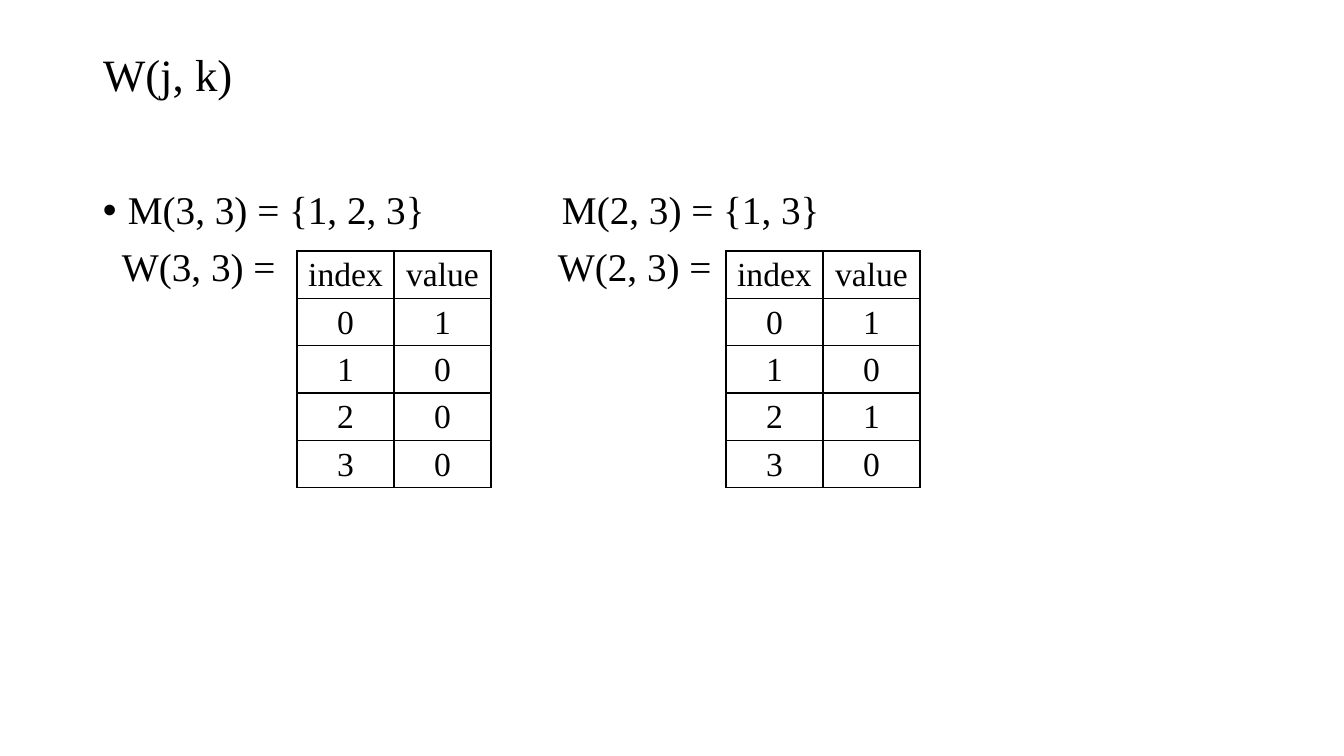
from lxml import etree
from pptx import Presentation
from pptx.dml.color import RGBColor
from pptx.enum.text import MSO_ANCHOR, PP_ALIGN
from pptx.oxml.ns import qn
from pptx.util import Emu, Pt

LEFT, CENTER = PP_ALIGN.LEFT, PP_ALIGN.CENTER
TOP, MIDDLE = MSO_ANCHOR.TOP, MSO_ANCHOR.MIDDLE
FONT = "Times New Roman"
BLACK = "000000"
TITLE_LAYOUT = 5


def px(n):
    return Emu(round(n * 914400 / 100.8))


def color(value):
    return RGBColor.from_string(value)


def format_paragraph(p, size, align=LEFT):
    p.alignment = align
    for r in p.runs:
        r.font.name = FONT
        r.font.size = Pt(size)
        r.font.color.rgb = color(BLACK)


def add_title(s, text):
    sp = s.shapes.title
    sp.left, sp.top, sp.width, sp.height = px(93), px(40), px(1159), px(74)
    tf = sp.text_frame
    tf.text = text
    tf.vertical_anchor = MIDDLE
    p = tf.paragraphs[0]
    p.line_spacing = 0.9
    format_paragraph(p, 32)


def set_indents(p, margin, bullet):
    pPr = p._p.get_or_add_pPr()
    pPr.set("marL", str(px(margin)))
    pPr.set("indent", str(px(-margin if bullet else 0)))
    if bullet:
        etree.SubElement(pPr, qn("a:buFont"), typeface="Arial")
        etree.SubElement(pPr, qn("a:buChar"), char=bullet)
    else:
        etree.SubElement(pPr, qn("a:buNone"))


def add_equations(s, left, lines):
    tf = s.shapes.add_textbox(px(left), px(186), px(380), px(112)).text_frame
    tf.word_wrap = True
    tf.vertical_anchor = TOP
    for i, (text, margin, bullet) in enumerate(lines):
        p = tf.add_paragraph() if i else tf.paragraphs[0]
        p.text = text
        set_indents(p, margin, bullet)
        p.line_spacing = 0.9
        if i:
            p.space_before = Pt(10)
        format_paragraph(p, 28)


def add_borders(cell):
    tcPr = cell._tc.get_or_add_tcPr()
    for i, side in enumerate(("lnL", "lnR", "lnT", "lnB")):
        ln = etree.Element(qn(f"a:{side}"), w=str(Pt(1)))
        fill = etree.SubElement(ln, qn("a:solidFill"))
        etree.SubElement(fill, qn("a:srgbClr"), val=BLACK)
        tcPr.insert(i, ln)


def add_index_table(s, left, values):
    rows = [("index", "value"), *enumerate(values)]
    frame = s.shapes.add_table(len(rows), 2, px(left), px(251),
                               px(194), px(47 * len(rows)))
    table = frame.table
    table.first_row = table.horz_banding = False
    for col in table.columns:
        col.width = px(97)
    for i, row in enumerate(rows):
        table.rows[i].height = px(47)
        for j, value in enumerate(row):
            cell = table.cell(i, j)
            cell.fill.background()
            cell.margin_top, cell.margin_bottom = px(6), px(1)
            cell.text = str(value)
            format_paragraph(cell.text_frame.paragraphs[0], 24, CENTER)
            add_borders(cell)


def main():
    prs = Presentation()
    prs.slide_width, prs.slide_height = px(1344), px(756)
    s = prs.slides.add_slide(prs.slide_layouts[TITLE_LAYOUT])
    add_title(s, "W(j, k)")
    add_equations(s, 93, [("M(3, 3) = {1, 2, 3}", 25, "•"),
                          ("W(3, 3) =", 19, None)])
    add_equations(s, 548, [("M(2, 3) = {1, 3}", 4, None),
                           ("W(2, 3) =", 0, None)])
    add_index_table(s, 297, (1, 0, 0, 0))
    add_index_table(s, 726, (1, 0, 1, 0))
    prs.save("out.pptx")


if __name__ == "__main__":
    main()
